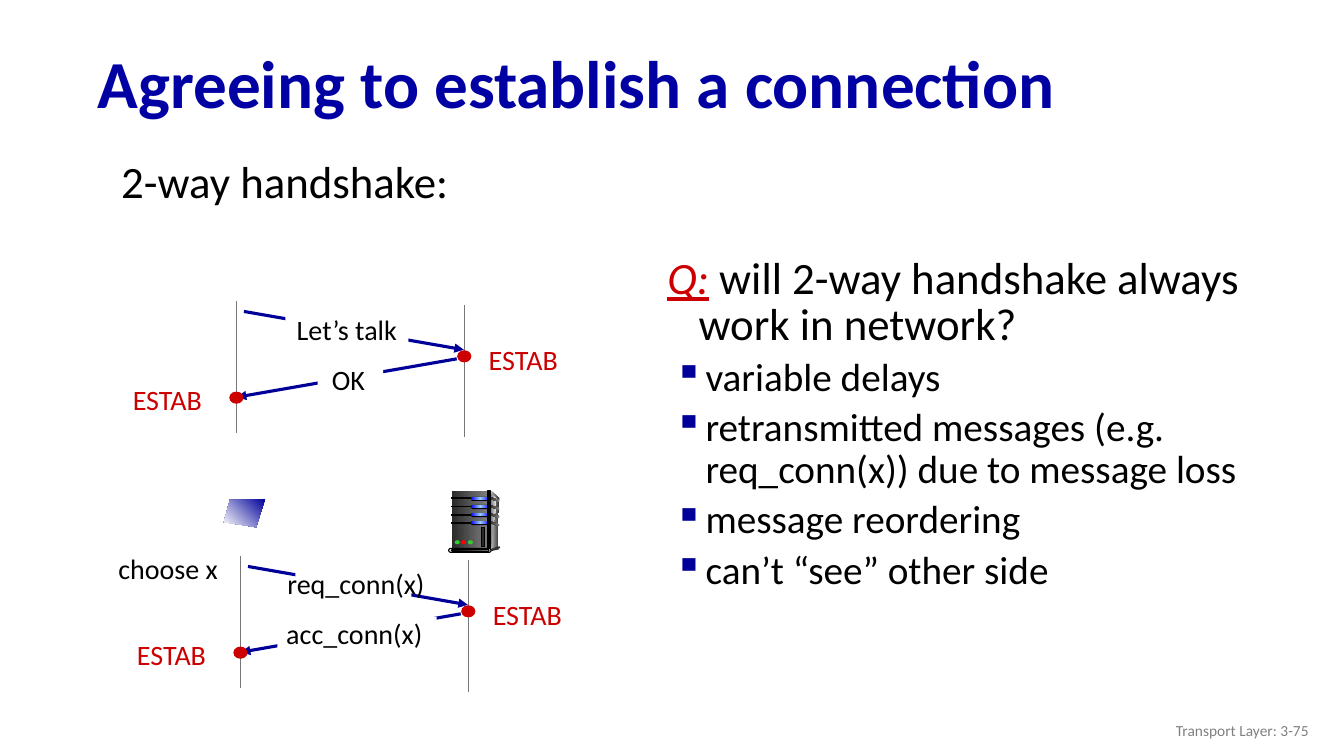
from copy import deepcopy
from dataclasses import dataclass

from lxml import etree
from pptx import Presentation
from pptx import util as u
from pptx.dml.color import RGBColor
from pptx.enum import shapes, text
from pptx.oxml.ns import qn

EMU_PER_PX = 9144
RECT, PILL, OVAL = (shapes.MSO_SHAPE.RECTANGLE, shapes.MSO_SHAPE.ROUNDED_RECTANGLE,
                    shapes.MSO_SHAPE.OVAL)
LEFT, CENTER, RIGHT = text.PP_ALIGN.LEFT, text.PP_ALIGN.CENTER, text.PP_ALIGN.RIGHT
TOP, MIDDLE = text.MSO_ANCHOR.TOP, text.MSO_ANCHOR.MIDDLE


@dataclass(frozen=True)
class Theme:
    font: str = "Calibri"
    title: str = "0000A3"
    navy: str = "000099"
    red: str = "CC0000"
    black: str = "000000"
    white: str = "FFFFFF"
    gray: str = "808080"
    timeline: str = "777777"
    charcoal: str = "292929"
    dark: str = "333333"
    silver: str = "DDDDDD"
    glint: str = "F8F8F8"
    blue: str = "0000FF"
    sky: str = "99CCFF"
    green: str = "33CC33"
    lamp_red: str = "FF0000"
    title_size: int = 48
    heading_size: int = 32
    bullet_size: int = 28
    label_size: int = 20
    footer_size: int = 11
    arrow_width: float = 2.25
    thin: float = 0.75


def px(*lengths):
    return [u.Emu(length * EMU_PER_PX) for length in lengths]


class SlideBuilder:
    """Draws styled elements on the current slide."""

    def __init__(self, slide, theme):
        self.slide, self.theme = slide, theme

    def paint(self, shape, colors, outline=None, angle=0):
        shape.shadow.inherit = False
        if len(colors) == 1:
            shape.fill.solid()
            shape.fill.fore_color.rgb = RGBColor.from_string(colors[0])
        else:
            shape.fill.gradient()
            shape.fill.gradient_angle = angle
            stop_list = shape._element.spPr.find(".//" + qn("a:gsLst"))
            for _ in colors[2:]:
                stop_list.append(deepcopy(stop_list[0]))
            for index, (stop, color) in enumerate(zip(shape.fill.gradient_stops, colors)):
                stop.position = index / (len(colors) - 1)
                stop.color.rgb = RGBColor.from_string(color)
        if outline:
            shape.line.color.rgb = RGBColor.from_string(outline)
            shape.line.width = u.Pt(self.theme.thin)
        else:
            shape.line.fill.background()

    def preset(self, kind, box, *colors, outline=None):
        shape = self.slide.shapes.add_shape(kind, *px(*box))
        if kind == PILL:
            shape.adjustments[0] = 0.5
        self.paint(shape, colors, outline)

    def polygon(self, points, *colors, angle=0):
        builder = self.slide.shapes.build_freeform(*points[0], scale=EMU_PER_PX)
        builder.add_line_segments(points[1:], close=True)
        self.paint(builder.convert_to_shape(), colors, angle=angle)

    def line(self, start, end, color, width, arrow=False):
        connector = self.slide.shapes.add_connector(
            shapes.MSO_CONNECTOR.STRAIGHT, *px(*start, *end))
        connector.line.color.rgb = RGBColor.from_string(color)
        connector.line.width = u.Pt(width)
        properties = connector._element.spPr
        if arrow:
            etree.SubElement(properties.find(qn("a:ln")), qn("a:tailEnd"), type="triangle")
        etree.SubElement(properties, qn("a:effectLst"))

    def frame(self, box, anchor=TOP, wrap=True):
        frame = self.slide.shapes.add_textbox(*px(*box)).text_frame
        frame.word_wrap, frame.vertical_anchor = wrap, anchor
        return frame

    def run(self, paragraph, words, size, color, **emphasis):
        run = paragraph.add_run()
        run.text = words
        run.font.name, run.font.size = self.theme.font, u.Pt(size)
        run.font.color.rgb = RGBColor.from_string(color)
        for name, value in emphasis.items():
            setattr(run.font, name, value)

    def label(self, words, box, size, color, align=CENTER, anchor=TOP, wrap=False, **emphasis):
        paragraph = self.frame(box, anchor, wrap).paragraphs[0]
        paragraph.alignment = align
        self.run(paragraph, words, size, color, **emphasis)

    def indent(self, paragraph, margin, bullet=None):
        properties = paragraph._p.get_or_add_pPr()
        properties.set("marL", str(margin * EMU_PER_PX))
        properties.set("indent", str(-31 * EMU_PER_PX))
        if bullet:
            color = etree.SubElement(properties, qn("a:buClr"))
            etree.SubElement(color, qn("a:srgbClr"), val=self.theme.navy)
            etree.SubElement(properties, qn("a:buChar"), char=bullet)

    def question(self, box, lead, words, bullets):
        theme = self.theme
        frame = self.frame(box)
        paragraph = frame.paragraphs[0]
        self.indent(paragraph, 31)
        paragraph.line_spacing = 0.85
        self.run(paragraph, lead, theme.heading_size, theme.red, italic=True, underline=True)
        self.run(paragraph, words, theme.heading_size, theme.black)
        for bullet in bullets:
            paragraph = frame.add_paragraph()
            self.indent(paragraph, 38, "▪")
            paragraph.line_spacing, paragraph.space_before = 0.9, u.Pt(5.6)
            self.run(paragraph, bullet, theme.bullet_size, theme.black)

    def handshake(self, x, y, masks, messages):
        theme = self.theme
        self.line((x + 7, y + 10), (x + 225, y + 48), theme.navy, theme.arrow_width, True)
        for left, top in ((x, y), (x + 226, y + 4)):
            self.line((left, top), (left, top + 131), theme.timeline, theme.thin)
        self.line((x + 218, y + 57), (x, y + 95), theme.navy, theme.arrow_width, True)
        for mask in masks:
            self.preset(RECT, mask, theme.white)
        for words, box in messages:
            self.label(words, box, theme.label_size, theme.black)
        for left, top in ((x + 238, y + 36), (x - 115, y + 76)):
            self.label("ESTAB", (left, top, 92, 44), theme.label_size, theme.red)
        for left, top in ((x - 7, y + 90), (x + 219, y + 49)):
            self.preset(OVAL, (left, top, 13, 11), theme.red, outline=theme.red)

    def server(self):
        theme = self.theme
        self.polygon([(487, 487), (495, 494), (494, 543), (485, 545)], theme.silver, theme.dark)
        self.preset(RECT, (448, 487, 37, 58), theme.charcoal, theme.gray)
        self.polygon([(487, 490), (493, 495), (488, 530), (487, 543)], theme.gray, theme.glint)
        for y in range(494, 519, 8):
            self.preset(RECT, (448, y, 21, 1), theme.black, outline=theme.black)
            self.preset(PILL, (467, y - 1, 20, 4), theme.black)
            self.preset(PILL, (467, y - 1, 19, 3), theme.blue, theme.sky, theme.blue)
            self.polygon([(486, y - 1), (495, y + 2), (495, y + 4), (486, y + 1)],
                         theme.charcoal, theme.gray)
        self.preset(RECT, (484, 487, 2, 58), theme.dark, theme.silver, theme.dark,
                    outline=theme.black)
        self.preset(OVAL, (494, 542, 2, 2), theme.dark)
        self.polygon([(486, 545), (486, 547), (495, 545), (494, 542)], theme.dark)
        self.preset(PILL, (445, 544, 42, 4), theme.silver, outline=theme.black)
        self.preset(PILL, (448, 545, 37, 2), theme.black, theme.gray, outline=theme.black)
        for x, color in zip((451, 457, 464), (theme.green, theme.lamp_red, theme.green)):
            self.preset(OVAL, (x, 536, 5, 4), color)
        self.preset(RECT, (478, 523, 3, 19), theme.charcoal, outline=theme.black)


def main():
    presentation = Presentation()
    presentation.slide_width, presentation.slide_height = px(1333, 750)
    theme = Theme()
    builder = SlideBuilder(presentation.slides.add_slide(presentation.slide_layouts[6]), theme)
    builder.label("Agreeing to establish a connection", (87, 32, 1246, 98), theme.title_size,
                  theme.title, LEFT, MIDDLE, True, bold=True)
    builder.label("Transport Layer: 3-75", (1008, 705, 300, 40), theme.footer_size, theme.gray,
                  RIGHT, MIDDLE, True)
    builder.question((652, 251, 604, 391), "Q:", " will 2-way handshake always work in network?", (
        "variable delays",
        "retransmitted messages (e.g. req_conn(x)) due to message loss",
        "message reordering",
        "can’t “see” other side",
    ))
    builder.label("2-way handshake:", (107, 148, 351, 64), theme.heading_size, theme.black)
    builder.handshake(235, 299, [(283, 305, 122, 44), (315, 358, 65, 39)],
                      [("Let’s talk", (283, 305, 122, 44)), ("OK", (319, 355, 53, 44))])
    builder.label("choose x", (106, 542, 120, 77), theme.label_size, theme.black, RIGHT)
    builder.handshake(239, 552, [(293, 561, 115, 39), (319, 611, 65, 39), (275, 612, 158, 31)],
                      [("req_conn(x)", (274, 557, 158, 44)), ("acc_conn(x)", (273, 607, 157, 44))])
    builder.polygon([(263, 495), (228, 496), (222, 518), (254, 523)], theme.navy, theme.white,
                    angle=225)
    builder.server()
    presentation.save("out.pptx")


if __name__ == "__main__":
    main()
